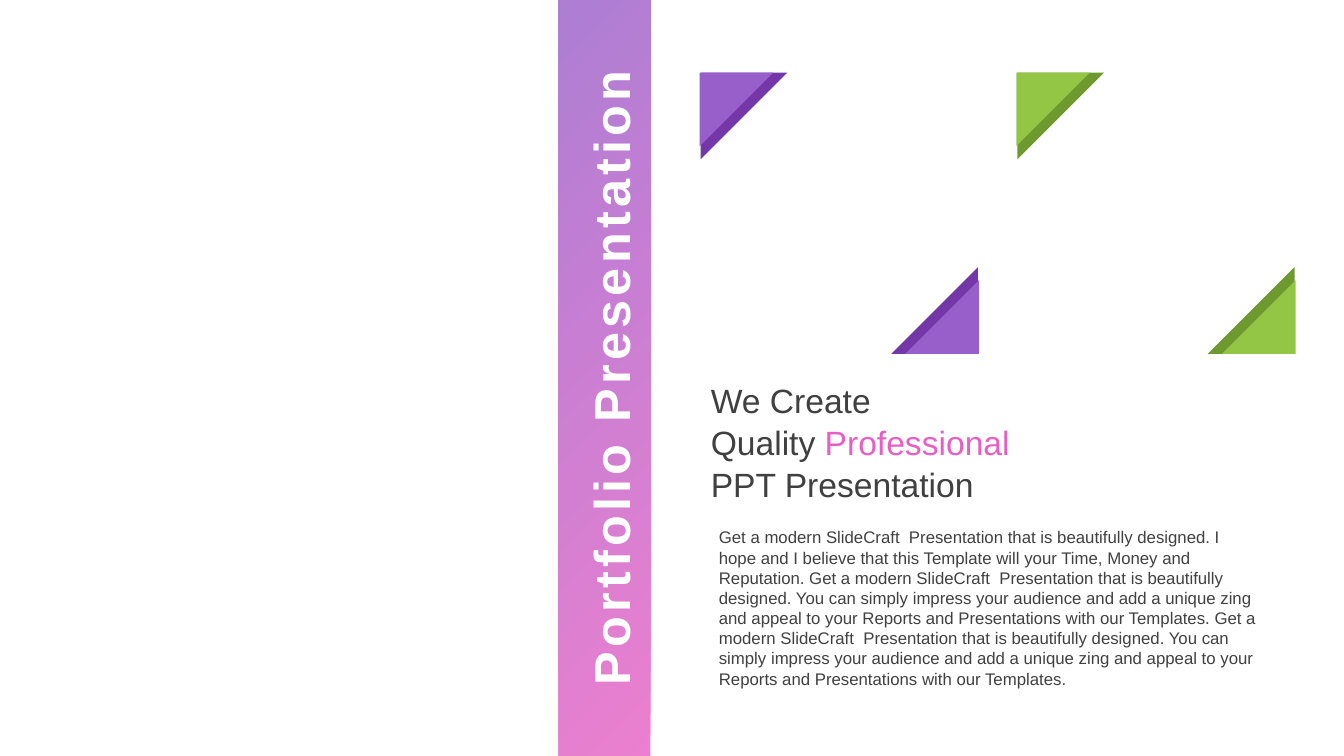
from dataclasses import dataclass

from lxml import etree
from pptx import Presentation
from pptx.dml.color import RGBColor
from pptx.enum.shapes import MSO_SHAPE
from pptx.enum.text import MSO_AUTO_SIZE, PP_ALIGN
from pptx.oxml.ns import qn
from pptx.util import Inches, Pt


@dataclass(frozen=True)
class Theme:
    font: str = "Arial"
    ink: str = "404040"
    white: str = "FFFFFF"
    pink: str = "E85FC4"
    purple: str = "985ECA"
    dark_purple: str = "7337A7"
    green: str = "92C644"
    dark_green: str = "6E992F"
    banner_size: int = 36
    headline_size: int = 24
    body_size: int = 12


class SlideBuilder:
    def __init__(self, slide, theme):
        self.slide = slide
        self.theme = theme

    def shape(self, shapes, preset, left, top, width, height):
        item = shapes.add_shape(preset, Inches(left), Inches(top), Inches(width), Inches(height))
        item.shadow.inherit = False
        item.line.fill.background()
        return item

    def corner(self, rotation, *triangles):
        """Group right triangles, each given as left, top, side and colour."""
        group = self.slide.shapes.add_group_shape()
        for left, top, side, color in triangles:
            triangle = self.shape(group.shapes, MSO_SHAPE.RIGHT_TRIANGLE, left, top, side, side)
            triangle.rotation = rotation
            triangle.fill.solid()
            triangle.fill.fore_color.rgb = RGBColor.from_string(color)

    def photo_frame(self, left, color, dark_color):
        """Mark the top left and bottom right corners of an empty frame."""
        top, outer, inner = 0.72, 0.86, 0.73
        far_left, far_top = left + 1.89, top + 1.93
        self.corner(270, (far_left, far_top, outer, dark_color),
                    (far_left + 0.14, far_top + 0.13, inner, color))
        self.corner(90, (left, top, outer, dark_color), (left - 0.01, top, inner, color))

    def gradient_band(self, left, top, width, height, colors, angle, opacity):
        band = self.shape(self.slide.shapes, MSO_SHAPE.RECTANGLE, left, top, width, height)
        band.fill.gradient()
        band.fill.gradient_angle = angle
        for stop, position, color in zip(band.fill.gradient_stops, (0, 1), colors):
            stop.position = position
            stop.color.rgb = RGBColor.from_string(color)
        for color_element in band.fill._xPr.iter(qn("a:srgbClr")):
            etree.SubElement(color_element, qn("a:alpha"), val=str(opacity * 1000))

    def text(self, left, top, width, height, paragraphs, size, *, margins=(0.1, 0.05),
             align=PP_ALIGN.LEFT, line_spacing=None, rotation=0, bold=False, tracking=0):
        """Add a box; each paragraph is a list of (wording, colour) runs."""
        box = self.slide.shapes.add_textbox(Inches(left), Inches(top), Inches(width), Inches(height))
        box.rotation = rotation
        frame = box.text_frame
        frame.word_wrap = True
        frame.auto_size = MSO_AUTO_SIZE.SHAPE_TO_FIT_TEXT
        frame.margin_left = frame.margin_right = Inches(margins[0])
        frame.margin_top = frame.margin_bottom = Inches(margins[1])
        for index, runs in enumerate(paragraphs):
            paragraph = frame.add_paragraph() if index else frame.paragraphs[0]
            paragraph.alignment = align
            paragraph.line_spacing = line_spacing
            for wording, color in runs:
                run = paragraph.add_run()
                run.text = wording
                run.font.name = self.theme.font
                run.font.size = Pt(size)
                run.font.bold = bold
                run.font.color.rgb = RGBColor.from_string(color)
                if tracking:
                    run.font._element.set("spc", str(tracking * 100))


def main():
    theme = Theme()
    presentation = Presentation()
    presentation.slide_width = Inches(13.33)
    presentation.slide_height = Inches(7.5)
    builder = SlideBuilder(presentation.slides.add_slide(presentation.slide_layouts[6]), theme)

    builder.photo_frame(10.09, theme.green, theme.dark_green)
    builder.photo_frame(6.95, theme.purple, theme.dark_purple)

    headline = [
        [("We Create", theme.ink)],
        [("Quality ", theme.ink), ("Professional", theme.pink)],
        [("PPT Presentation", theme.ink)],
    ]
    builder.text(7.01, 3.75, 3.17, 1.26, headline, theme.headline_size,
                 margins=(0.04, 0), line_spacing=Pt(30))

    opening = "Get a modern SlideCraft  Presentation that is beautifully designed. "
    promise = ("You can simply impress your audience and add a unique zing and appeal "
               "to your Reports and Presentations with our Templates.")
    belief = "I hope and I believe that this Template will your Time, Money and Reputation. "
    body = f"{opening}{belief}{opening}{promise} {opening}{promise}"
    builder.text(7.01, 5.18, 5.6, 1.72, [[(body, theme.ink)]], theme.body_size,
                 margins=(0.12, 0.05))

    builder.gradient_band(5.54, 0, 0.91, 7.5, (theme.pink, theme.purple), angle=135, opacity=80)
    builder.text(2.25, 3.39, 7.5, 0.72, [[("Portfolio Presentation", theme.white)]],
                 theme.banner_size, align=PP_ALIGN.CENTER, line_spacing=1.1,
                 rotation=270, bold=True, tracking=3)

    presentation.save("out.pptx")


if __name__ == "__main__":
    main()
